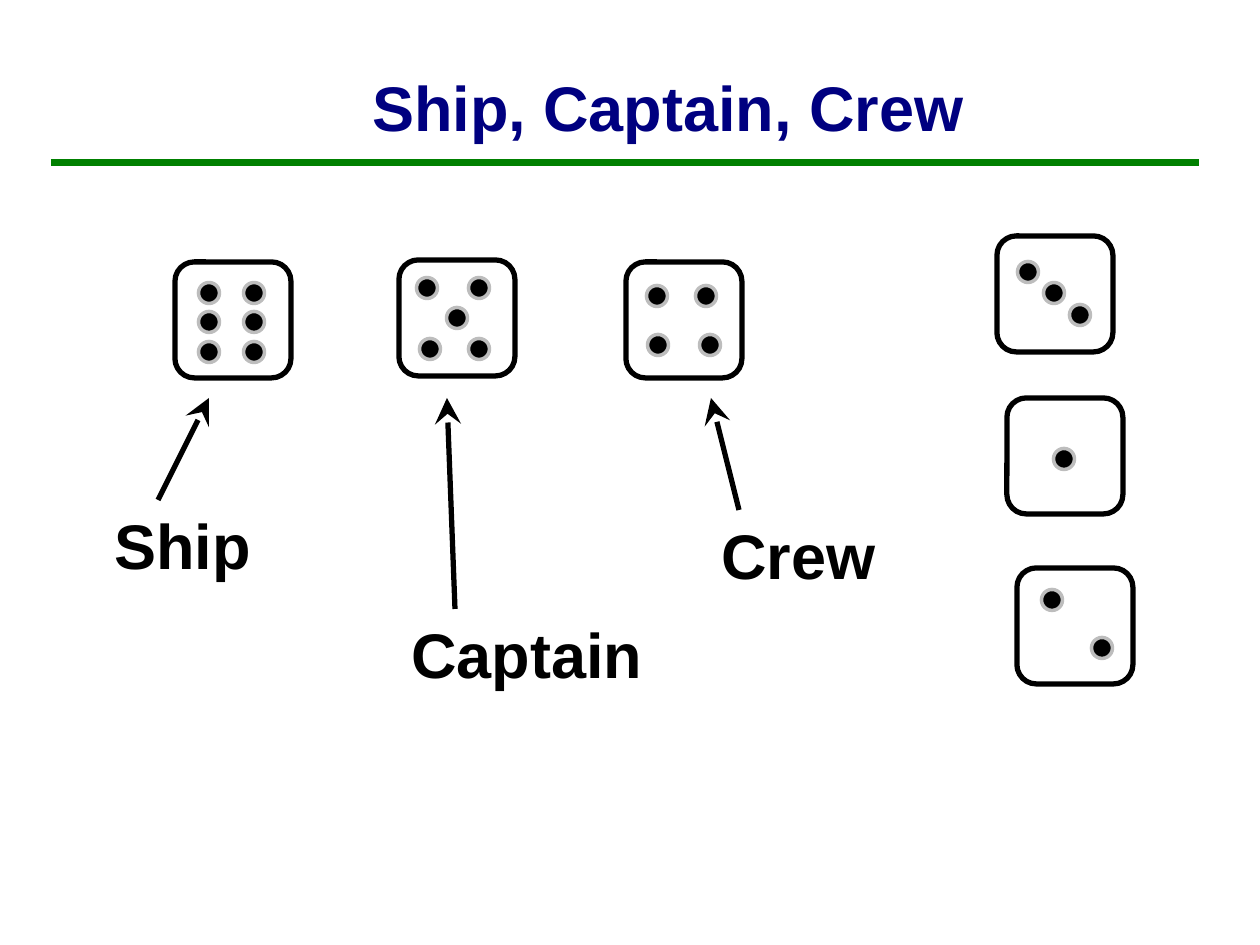
from lxml import etree
from pptx import Presentation
from pptx.dml.color import RGBColor
from pptx.enum.shapes import MSO_CONNECTOR, MSO_SHAPE
from pptx.enum.text import MSO_ANCHOR, MSO_AUTO_SIZE, PP_ALIGN
from pptx.oxml.ns import qn
from pptx.util import Emu, Pt

STRAIGHT = MSO_CONNECTOR.STRAIGHT
ROUNDED = MSO_SHAPE.ROUNDED_RECTANGLE
OVAL = MSO_SHAPE.OVAL
BOTTOM, TOP = MSO_ANCHOR.BOTTOM, MSO_ANCHOR.TOP
CENTER, LEFT = PP_ALIGN.CENTER, PP_ALIGN.LEFT
FIT, NO_FIT = MSO_AUTO_SIZE.SHAPE_TO_FIT_TEXT, MSO_AUTO_SIZE.NONE
PX = 914400 // 126
BLACK, WHITE, NAVY, GREEN, GRAY = "000000", "FFFFFF", "000080", "008000", "BDBDBD"
DIE, PIP = 116, 21


def color(hex_code):
    """Turn a hex string into a colour."""
    return RGBColor.from_string(hex_code)


def px(*lengths):
    """Turn pixel lengths into EMU."""
    return [Emu(length * PX) for length in lengths]


deck = Presentation()
deck.slide_width, deck.slide_height = px(1260, 945)
slide = deck.slides.add_slide(deck.slide_layouts[6])

# Dice: left, top and the pip centres measured from the die's corner
dice = [
    (1007, 398, [(57, 61)]),
    (1017, 568, [(35, 32), (85, 80)]),
    (997, 236, [(31, 36), (57, 57), (83, 79)]),
    (626, 262, [(31, 34), (80, 34), (32, 83), (84, 83)]),
    (399, 260, [(58, 58), (28, 28), (80, 89), (80, 28), (31, 89)]),
    (175, 262, [(x, y) for x in (34, 79) for y in (31, 60, 90)]),
]
for left, top, pips in dice:
    die = slide.shapes.add_group_shape()
    parts = [(ROUNDED, left, top, DIE, WHITE, BLACK, 3)]
    for x, y in pips:
        parts.append((OVAL, left + x - PIP / 2, top + y - PIP / 2, PIP, BLACK, GRAY, 2))
    for kind, x, y, size, fill, outline, weight in parts:
        part = die.shapes.add_shape(kind, *px(x, y, size, size))
        part.shadow.inherit = False
        part.fill.solid()
        part.fill.fore_color.rgb = color(fill)
        part.line.color.rgb = color(outline)
        part.line.width = Pt(weight)

# Title and the names of the dice
texts = [
    ("Ship, Captain, Crew", 217, 57, 902, 93, NAVY, CENTER, BOTTOM, True, NO_FIT),
    ("Ship", 102, 500, 164, 89, BLACK, LEFT, TOP, False, FIT),
    ("Captain", 399, 609, 258, 89, BLACK, LEFT, TOP, False, FIT),
    ("Crew", 709, 510, 181, 89, BLACK, LEFT, TOP, False, FIT),
]
for wording, left, top, width, height, ink, align, anchor, wrap, fit in texts:
    frame = slide.shapes.add_textbox(*px(left, top, width, height)).text_frame
    frame.word_wrap, frame.auto_size, frame.vertical_anchor = wrap, fit, anchor
    paragraph = frame.paragraphs[0]
    paragraph.text, paragraph.alignment = wording, align
    font = paragraph.font
    font.name, font.size, font.bold = "Arial", Pt(36), True
    font.color.rgb = color(ink)

# Title rule, then the arrows from names to dice
lines = [
    (51, 163, 1199, 163, GREEN, 4, False),
    (158, 500, 209, 398, BLACK, 3, True),
    (455, 609, 447, 398, BLACK, 3, True),
    (739, 510, 711, 398, BLACK, 3, True),
]
for x1, y1, x2, y2, ink, weight, pointed in lines:
    line = slide.shapes.add_connector(STRAIGHT, *px(x1, y1, x2, y2))
    line.line.color.rgb = color(ink)
    line.line.width = Pt(weight)
    properties = line._element.spPr
    etree.SubElement(properties, qn("a:effectLst"))
    if pointed:
        etree.SubElement(properties.find(qn("a:ln")), qn("a:tailEnd"),
                         type="stealth", w="lg", len="lg")

deck.save("out.pptx")
